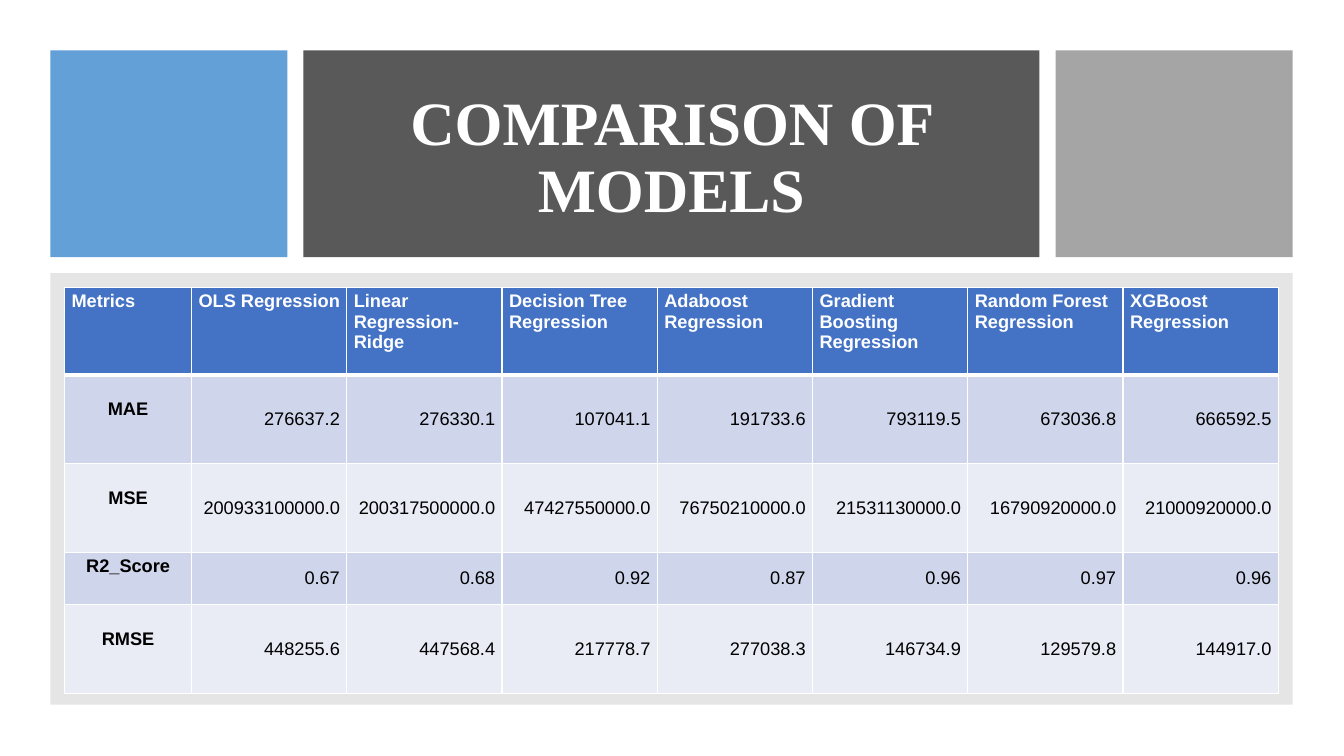
from dataclasses import dataclass

from lxml import etree
from pptx import Presentation, util as u
from pptx.dml.color import RGBColor
from pptx.enum import shapes, text
from pptx.oxml.ns import qn

PX = 9144  # EMU per px, 100 px to the inch


@dataclass(frozen=True)
class Theme:
    white: str = "FFFFFF"
    ink: str = "000000"
    blue: str = "5B9BD5"
    dark: str = "595959"
    grey: str = "A5A5A5"
    panel: str = "808080"
    header: str = "4472C4"
    bands: tuple = ("CFD5EA", "E9EBF5")
    title_font: str = "Times New Roman"
    body_font: str = "Arial"
    title_size: int = 44
    body_size: int = 13


T = Theme()
TITLE = "COMPARISON OF MODELS"
HEADERS = ["Metrics", "OLS Regression", "Linear Regression-Ridge",
           "Decision Tree Regression", "Adaboost Regression",
           "Gradient Boosting Regression", "Random Forest Regression",
           "XGBoost Regression"]
# Metric, row height, gap above the label, one value per model
METRICS = [
    ("MAE", 88, 24, ["276637.2", "276330.1", "107041.1", "191733.6",
                     "793119.5", "673036.8", "666592.5"]),
    ("MSE", 88, 24, ["200933100000.0", "200317500000.0", "47427550000.0",
                     "76750210000.0", "21531130000.0", "16790920000.0",
                     "21000920000.0"]),
    ("R2_Score", 52, 4, ["0.67", "0.68", "0.92", "0.87", "0.96", "0.97", "0.96"]),
    ("RMSE", 88, 24, ["448255.6", "447568.4", "217778.7", "277038.3",
                      "146734.9", "129579.8", "144917.0"]),
]
HEADER_H, LABEL_W, VALUE_W = 87, 126, 154


def emu(*lengths):
    return [u.Emu(n * PX) for n in lengths]


def set_all(obj, values):
    for name, value in values.items():
        setattr(obj, name, value)


def write(tf, words, align, color, **font):
    p = tf.paragraphs[0]
    p.alignment = align
    r = p.add_run()
    r.text = words
    set_all(r.font, font)
    r.font.color.rgb = RGBColor.from_string(color)
    return p


def block(s, box, color, opacity=100):
    sp = s.shapes.add_shape(shapes.MSO_SHAPE.RECTANGLE, *emu(*box))
    sp.shadow.inherit = False
    sp.fill.solid()
    sp.fill.fore_color.rgb = RGBColor.from_string(color)
    sp.line.fill.background()
    if opacity < 100:
        clr = sp._element.spPr.find(qn("a:solidFill"))[0]
        etree.SubElement(clr, qn("a:alpha"), val=str(opacity * 1000))


def style_cell(cell, fill, bottom=1):
    for side, width in zip("LRTB", (1, 1, 1, bottom)):
        ln = etree.SubElement(cell._tc.get_or_add_tcPr(), qn("a:ln" + side),
                              w=str(u.Pt(width)))
        solid = etree.SubElement(ln, qn("a:solidFill"))
        etree.SubElement(solid, qn("a:srgbClr"), val=T.white)
    cell.fill.solid()
    cell.fill.fore_color.rgb = RGBColor.from_string(fill)


def title_band(s, x, y, w, h):
    side, gap = 235, 16
    mid_x, mid_w = x + side + gap, w - 2 * (side + gap)
    # Three colour blocks
    block(s, (x, y, side, h), T.blue, 95)
    block(s, (mid_x, y, mid_w, h), T.dark)
    block(s, (x + w - side, y, side, h), T.grey)
    # Title
    tf = s.shapes.add_textbox(*emu(mid_x + 32, y + 30, mid_w - 64, 156)).text_frame
    set_all(tf, dict(word_wrap=True, vertical_anchor=text.MSO_ANCHOR.MIDDLE))
    p = write(tf, TITLE, text.PP_ALIGN.CENTER, T.white, name=T.title_font,
              size=u.Pt(T.title_size), bold=True)
    p.line_spacing = 0.9


def metrics_panel(s, x, y, w, h):
    block(s, (x, y, w, h), T.panel, 20)
    # Table grid
    widths = [LABEL_W] + [VALUE_W] * (len(HEADERS) - 1)
    heights = [HEADER_H] + [m[1] for m in METRICS]
    tbl = s.shapes.add_table(len(heights), len(widths), *emu(
        x + 14, y + 14, sum(widths), sum(heights))).table
    for col, width in zip(tbl.columns, emu(*widths)):
        col.width = width
    for row, height in zip(tbl.rows, emu(*heights)):
        row.height = height

    def fill_cell(i, j, words, align, color, bold, top=4,
                  anchor=text.MSO_ANCHOR.TOP):
        cell = tbl.cell(i, j)
        left, up, right, down = emu(7, top, 7, 4)
        set_all(cell, dict(margin_left=left, margin_top=up, margin_right=right,
                           margin_bottom=down, vertical_anchor=anchor))
        write(cell.text_frame, words, align, color, name=T.body_font,
              size=u.Pt(T.body_size), bold=bold)
        if i == 0:
            style_cell(cell, T.header, bottom=3)
        else:
            style_cell(cell, T.bands[(i - 1) % 2])

    # Header row
    for j, words in enumerate(HEADERS):
        fill_cell(0, j, words, text.PP_ALIGN.LEFT, T.white, True)
    # Metric rows
    for i, (metric, _, gap, values) in enumerate(METRICS, 1):
        fill_cell(i, 0, metric, text.PP_ALIGN.CENTER, T.ink, True, top=gap)
        for j, value in enumerate(values, 1):
            fill_cell(i, j, value, text.PP_ALIGN.RIGHT, T.ink, False,
                      anchor=text.MSO_ANCHOR.MIDDLE)


def main():
    prs = Presentation()
    prs.slide_width, prs.slide_height = emu(1333, 750)
    s = prs.slides.add_slide(prs.slide_layouts[6])
    title_band(s, 50, 50, 1232, 205)
    metrics_panel(s, 50, 271, 1232, 428)
    prs.save("out.pptx")


if __name__ == "__main__":
    main()
